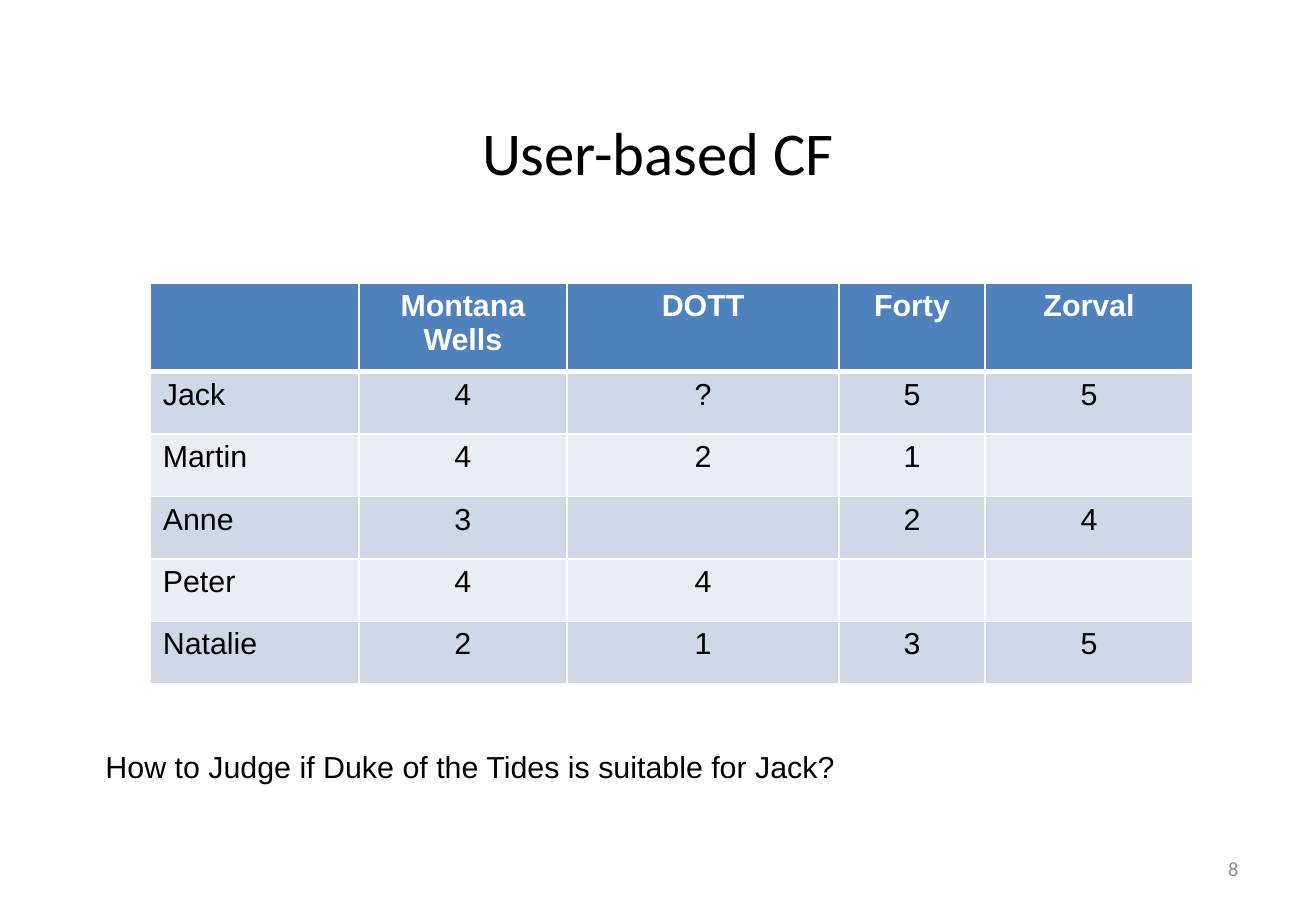
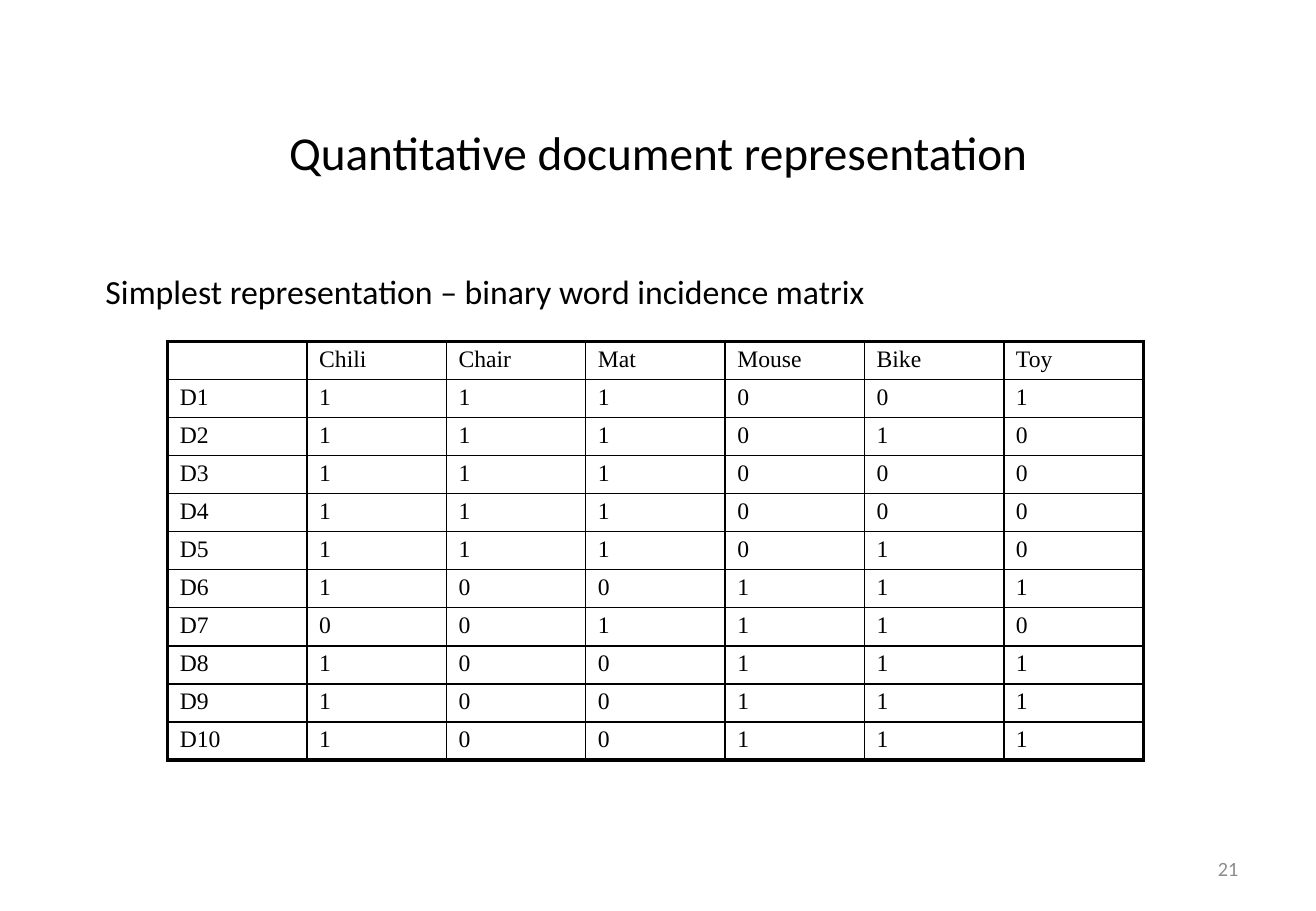
import lxml.etree
import pptx
import pptx.dml.color
import pptx.enum.text
import pptx.oxml.ns
import pptx.util

Inches = pptx.util.Inches
Pt = pptx.util.Pt
ALIGN = pptx.enum.text.PP_ALIGN
ANCHOR = pptx.enum.text.MSO_ANCHOR
qn = pptx.oxml.ns.qn


class Theme:
    black, white, grey = "000000", "FFFFFF", "8C8C8C"
    header, band_dark, band_light = "4F81BD", "D0D8E8", "E9EDF4"
    heading_font, note_font, matrix_font = "Calibri", "Arial", "Times New Roman"
    title, long_title, body, note, matrix, number = 36, 28, 20, 18, 14, 12
    thin, outer, header_rule = 1, 2.25, 3


def font_format(name, size, color=Theme.black, bold=False):
    return {"name": name, "size": Pt(size), "color": color, "bold": bold}


def write(p, text, fmt, align):
    p.alignment = align
    if not text:
        # An empty cell still needs its size, or its row grows.
        p._p.get_or_add_endParaRPr().set("sz", str(int(fmt["size"].pt * 100)))
        return
    r = p.add_run()
    r.text = text
    for key, value in fmt.items():
        if key == "color":
            r.font.color.rgb = pptx.dml.color.RGBColor.from_string(value)
        else:
            setattr(r.font, key, value)


def set_borders(cell, color, widths):
    """Draw the left, right, top and bottom borders, widths in points."""
    tcPr = cell._tc.get_or_add_tcPr()
    for i, (side, width) in enumerate(zip("LRTB", widths)):
        ln = lxml.etree.Element(qn(f"a:ln{side}"), w=str(Pt(width)))
        fill = lxml.etree.SubElement(ln, qn("a:solidFill"))
        lxml.etree.SubElement(fill, qn("a:srgbClr"), val=color)
        tcPr.insert(i, ln)


class Deck:
    def __init__(self, width, height):
        self.prs = pptx.Presentation()
        self.prs.slide_width, self.prs.slide_height = Inches(width), Inches(height)
        self.s = None

    def slide(self, title, number, title_size=Theme.title):
        self.s = self.prs.slides.add_slide(self.prs.slide_layouts[6])
        self.text(title, (0.54, 0.72, 9.75, 1.05),
                  font_format(Theme.heading_font, title_size), ALIGN.CENTER, ANCHOR.MIDDLE)
        self.text(number, (7.76, 6.95, 2.53, 0.4),
                  font_format(Theme.heading_font, Theme.number, Theme.grey),
                  ALIGN.RIGHT, ANCHOR.MIDDLE)

    def text(self, text, box, fmt, align=ALIGN.LEFT, anchor=ANCHOR.TOP):
        sp = self.s.shapes.add_textbox(*map(Inches, box))
        tf = sp.text_frame
        tf.word_wrap = True
        tf.vertical_anchor = anchor
        write(tf.paragraphs[0], text, fmt, align)

    def table(self, rows, left, top, col_widths, row_heights, style, margin=0.05):
        """Add a table; style(row, col) gives fill, font format, alignment, line colour and widths."""
        tbl = self.s.shapes.add_table(
            len(rows), len(col_widths), Inches(left), Inches(top),
            Inches(sum(col_widths)), Inches(sum(row_heights))).table
        tbl.horz_banding = False
        for column, width in zip(tbl.columns, col_widths):
            column.width = Inches(width)
        for row, height in zip(tbl.rows, row_heights):
            row.height = Inches(height)
        for i, row in enumerate(rows):
            for j, text in enumerate(row):
                cell = tbl.cell(i, j)
                cell.margin_top = cell.margin_bottom = Inches(margin)
                fill, fmt, align, line, widths = style(i, j)
                if fill:
                    cell.fill.solid()
                    cell.fill.fore_color.rgb = pptx.dml.color.RGBColor.from_string(fill)
                else:
                    cell.fill.background()
                write(cell.text_frame.paragraphs[0], text, fmt, align)
                set_borders(cell, line, widths)


def rating_style(i, j):
    thin, rule = Theme.thin, Theme.header_rule
    align = ALIGN.CENTER if i == 0 or j else ALIGN.LEFT
    if i == 0:
        fill, color = Theme.header, Theme.white
    else:
        fill, color = (Theme.band_dark if i % 2 else Theme.band_light), Theme.black
    fmt = font_format(Theme.note_font, Theme.note, color, i == 0)
    widths = thin, thin, rule if i == 1 else thin, rule if i == 0 else thin
    return fill, fmt, align, Theme.white, widths


def matrix_style(last_row, last_col):
    fmt = font_format(Theme.matrix_font, Theme.matrix)

    def style(i, j):
        edges = j == 0, j == last_col, i == 0, i == last_row
        widths = [Theme.outer if edge else Theme.thin for edge in edges]
        return None, fmt, ALIGN.LEFT, Theme.black, widths
    return style


def main():
    deck = Deck(10.83, 7.5)

    deck.slide("User-based CF", "8")
    ratings = [
        ["", "Montana Wells", "DOTT", "Forty", "Zorval"],
        ["Jack", "4", "?", "5", "5"],
        ["Martin", "4", "2", "1", ""],
        ["Anne", "3", "", "2", "4"],
        ["Peter", "4", "4", "", ""],
        ["Natalie", "2", "1", "3", "5"],
    ]
    wide, narrow, header_height = 2.24, 1.2, 0.73
    regular = (8.58 - wide - narrow) / 3
    row_height = (3.3 - header_height) / 5
    deck.table(ratings, 1.24, 2.33, [regular, regular, wide, narrow, regular],
               [header_height] + [row_height] * 5, rating_style)
    deck.text("How to Judge if Duke of the Tides is suitable for Jack?",
              (0.77, 6.11, 9.26, 0.4), font_format(Theme.note_font, Theme.note))

    deck.slide("Quantitative document representation", "21", Theme.long_title)
    deck.text("Simplest representation – binary word incidence matrix",
              (0.77, 2.18, 9.26, 0.5), font_format(Theme.heading_font, Theme.body))
    words = ["Chili", "Chair", "Mat", "Mouse", "Bike", "Toy"]
    incidence = ["111001", "111010", "111000", "111000", "111010",
                 "100111", "001110", "100111", "100111", "100111"]
    matrix = [["", *words]]
    matrix += [[f"D{n}", *bits] for n, bits in enumerate(incidence, 1)]
    columns = len(words) + 1
    deck.table(matrix, 1.38, 2.81, [8.03 / columns] * columns, [0.31] * len(matrix),
               matrix_style(len(incidence), len(words)), margin=0.04)

    deck.prs.save("out.pptx")


if __name__ == "__main__":
    main()
